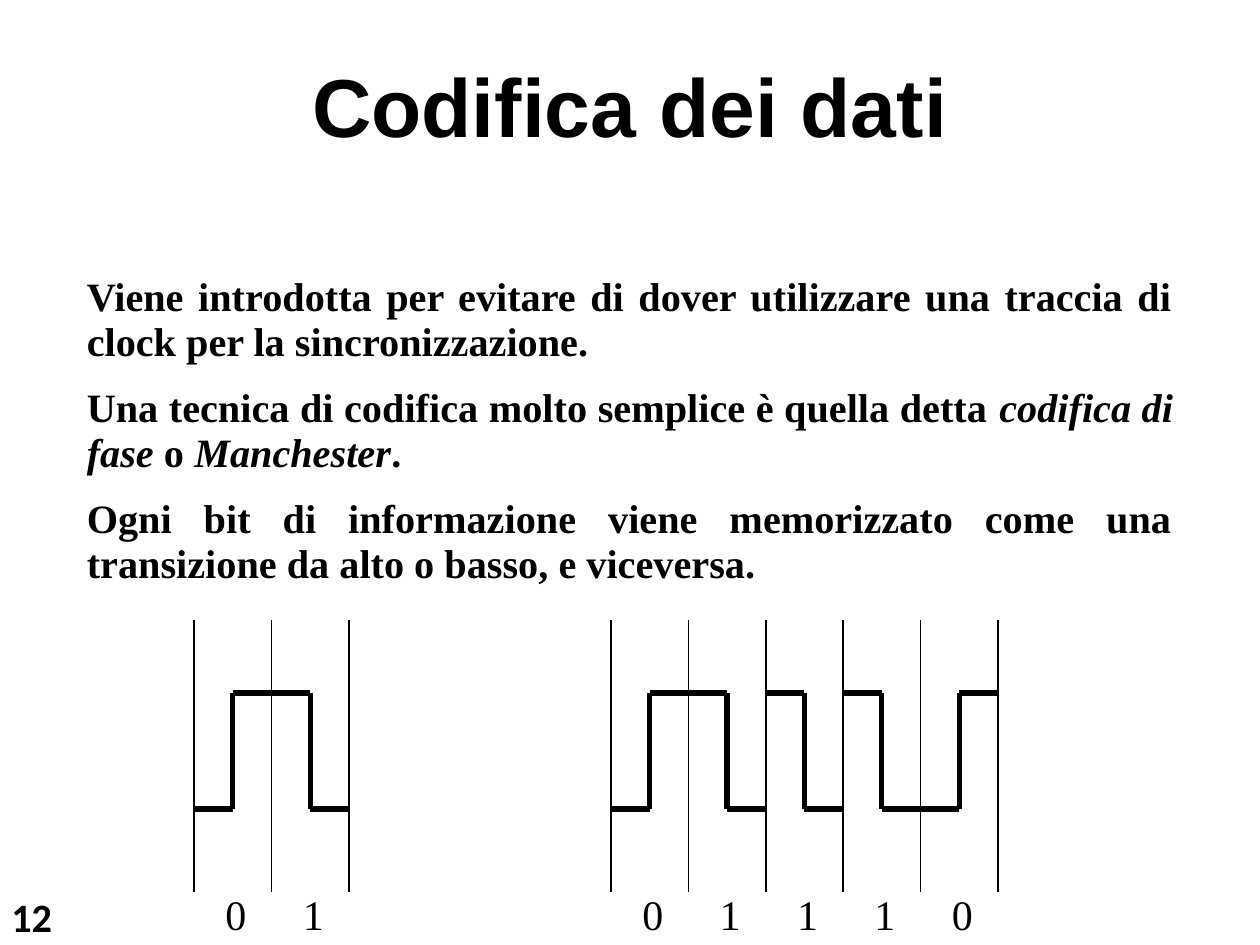
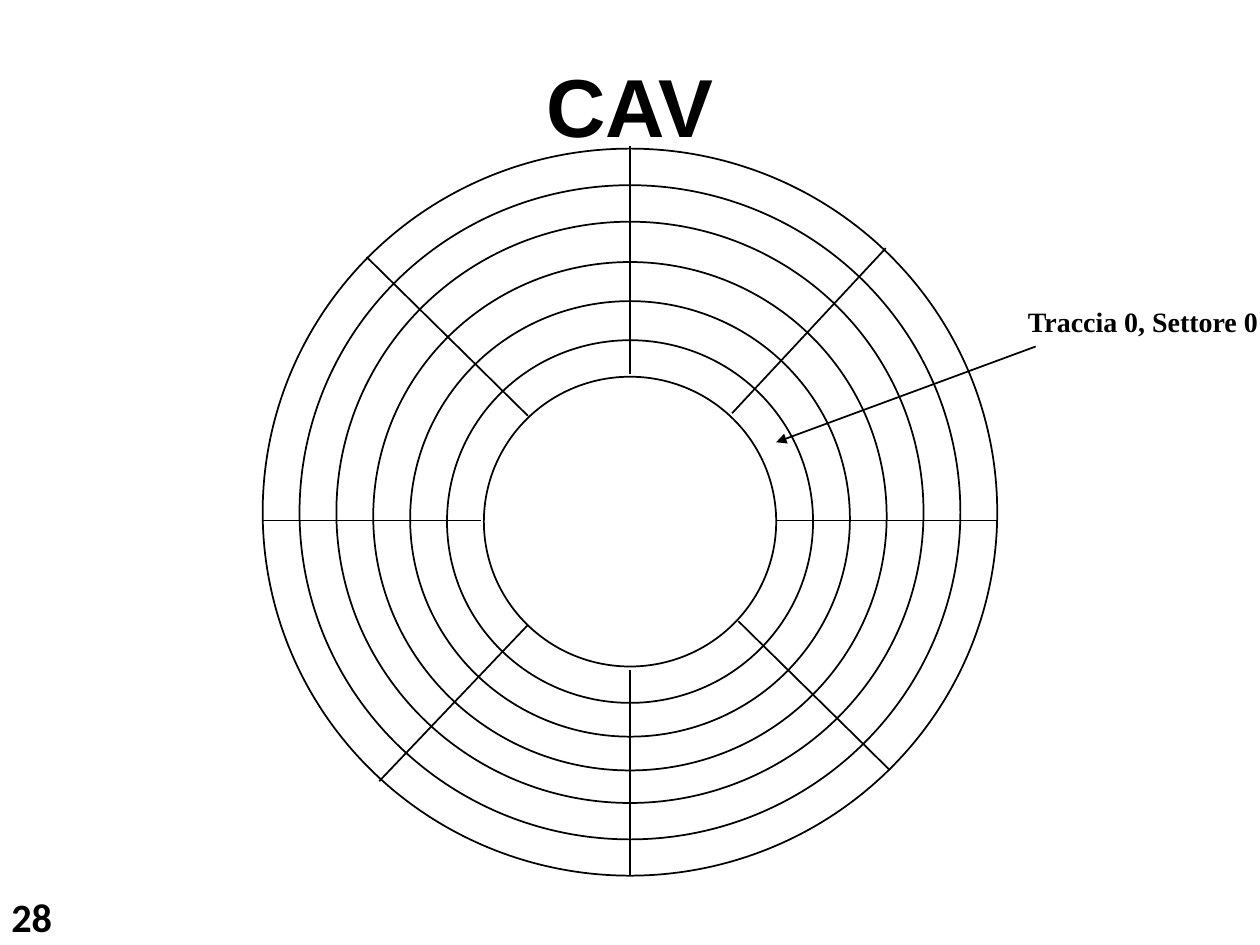
"""Builds two slides on magnetic disks: Manchester coding and CAV sectors."""
from dataclasses import dataclass

from lxml.etree import SubElement
from pptx import Presentation
from pptx.dml.color import RGBColor
from pptx.enum.shapes import MSO_CONNECTOR, MSO_SHAPE
from pptx.enum.text import MSO_ANCHOR, PP_ALIGN
from pptx.oxml.ns import qn
from pptx.util import Inches, Pt


@dataclass(frozen=True)
class Theme:
    ink: RGBColor = RGBColor(0, 0, 0)
    paper: RGBColor = RGBColor(255, 255, 255)
    title_font: str = "Arial"
    body_font: str = "Times New Roman"
    number_font: str = "Calibri"
    title_size: int = 47
    body_size: int = 23
    number_size: int = 23
    bit_size: int = 24
    label_size: int = 16
    thin: int = 1
    thick: int = 3
    body_leading: float = 0.93


class DeckBuilder:
    def __init__(self, theme):
        self.theme = theme
        self.deck = Presentation()
        self.deck.slide_width = Inches(10)
        self.deck.slide_height = Inches(7.5)
        self.page = None
        self.canvas = None

    def new_page(self, title, number):
        theme = self.theme
        self.page = self.deck.slides.add_slide(self.deck.slide_layouts[6])
        self.page.background.fill.solid()
        self.page.background.fill.fore_color.rgb = theme.paper
        self.end_group()
        self.text(0.04, 7.06, 0.49, 0.43, [[(number, False)]], theme.number_font,
                  theme.number_size, bold=True, insets=(0.05, 0.02))
        self.text(0.59, 0.36, 8.82, 1.74, [[(title, False)]], theme.title_font,
                  theme.title_size, bold=True, align=PP_ALIGN.CENTER, insets=(0.05, 0.08))

    def begin_group(self):
        self.canvas = self.page.shapes.add_group_shape().shapes

    def end_group(self):
        self.canvas = self.page.shapes

    def text(self, left, top, width, height, paragraphs, font, size, bold=False,
             align=PP_ALIGN.LEFT, insets=(0.1, 0.05), leading=None, gap=0, wrap=True):
        box = self.canvas.add_textbox(Inches(left), Inches(top), Inches(width), Inches(height))
        frame = box.text_frame
        frame.word_wrap = wrap
        frame.vertical_anchor = MSO_ANCHOR.TOP
        frame.margin_left = frame.margin_right = Inches(insets[0])
        frame.margin_top = frame.margin_bottom = Inches(insets[1])
        for index, spans in enumerate(paragraphs):
            para = frame.add_paragraph() if index else frame.paragraphs[0]
            para.alignment = align
            para.line_spacing = leading
            para.space_before = Pt(gap if index else 0)
            for words, italic in spans:
                span = para.add_run()
                span.text = words
                span.font.name = font
                span.font.size = Pt(size)
                span.font.bold = bold
                span.font.italic = italic
                span.font.color.rgb = self.theme.ink

    def line(self, start, end, weight, arrow=False):
        connector = self.canvas.add_connector(
            MSO_CONNECTOR.STRAIGHT, *(Inches(value) for value in (*start, *end)))
        connector.line.color.rgb = self.theme.ink
        connector.line.width = Pt(weight)
        properties = connector._element.spPr
        if arrow:
            SubElement(properties.find(qn("a:ln")), qn("a:tailEnd"), type="triangle")
        SubElement(properties, qn("a:effectLst"))

    def ring(self, left, top, width, height):
        circle = self.canvas.add_shape(
            MSO_SHAPE.OVAL, Inches(left), Inches(top), Inches(width), Inches(height))
        circle.shadow.inherit = False
        circle.fill.solid()
        circle.fill.fore_color.rgb = self.theme.paper
        circle.line.color.rgb = self.theme.ink
        circle.line.width = Pt(self.theme.thin)

    def waveform(self, bits, left, right):
        theme = self.theme
        high, low = 5.5, 6.42
        cell = (right - left) / len(bits)
        for index in range(len(bits) + 1):
            edge = left + index * cell
            self.line((edge, 4.92), (edge, 7.08), theme.thin)
        for index, bit in enumerate(bits):
            start = left + index * cell
            middle, end = start + cell / 2, start + cell
            before, after = (low, high) if bit == "0" else (high, low)
            self.begin_group()
            self.line((start, before), (middle, before), theme.thick)
            self.line((middle, after), (end, after), theme.thick)
            self.line((middle, high), (middle, low), theme.thick)
            self.end_group()
            self.text(start + 0.15, 7, 0.37, 0.51, [[(bit, False)]],
                      theme.body_font, theme.bit_size)


def build_coding_page(builder):
    theme = builder.theme
    builder.new_page("Codifica dei dati", "12")
    paragraphs = [
        [("Viene introdotta per evitare di dover utilizzare una traccia di clock "
          "per la sincronizzazione.", False)],
        [("Una tecnica di codifica molto semplice è quella detta ", False),
         ("codifica di fase", True), (" o ", False), ("Manchester", True), (".", False)],
        [("Ogni bit di informazione viene memorizzato come una transizione da alto "
          "o basso, e viceversa.", False)],
    ]
    builder.text(0.59, 2.14, 8.82, 2.6, paragraphs, theme.body_font, theme.body_size,
                 bold=True, align=PP_ALIGN.JUSTIFY, leading=theme.body_leading, gap=12)
    builder.waveform("01", 1.54, 2.77)
    builder.waveform("01110", 4.85, 7.92)


def build_cav_page(builder):
    theme = builder.theme
    builder.new_page("CAV", "28")
    builder.begin_group()
    center = 5
    ring_tops = [1.18, 1.47, 1.76, 2.08, 2.39, 2.7, 2.99]
    width_step = (5.83 - 2.32) / (len(ring_tops) - 1)
    height_step = (5.77 - 2.3) / (len(ring_tops) - 1)
    for index, top in enumerate(ring_tops):
        width = 5.83 - index * width_step
        builder.ring(center - width / 2, top, width, 5.77 - index * height_step)
    sector_edges = [
        ((5, 2.97), (5, 1.16)), ((5, 5.32), (5, 6.95)),
        ((2.08, 4.13), (3.82, 4.13)), ((6.16, 4.13), (7.92, 4.13)),
        ((4.19, 3.3), (2.91, 2.04)), ((5.86, 4.93), (7.06, 6.11)),
        ((3.01, 6.2), (4.19, 4.96)), ((5.81, 3.28), (7.03, 1.97)),
    ]
    for start, end in sector_edges:
        builder.line(start, end, theme.thin)
    builder.line((8.22, 2.75), (6.16, 3.51), theme.thin, arrow=True)
    builder.text(8.06, 2.4, 2.05, 0.32, [[("Traccia 0, Settore 0", False)]],
                 theme.body_font, theme.label_size, bold=True,
                 align=PP_ALIGN.JUSTIFY, leading=0.9, wrap=False)
    builder.end_group()


def main():
    builder = DeckBuilder(Theme())
    build_coding_page(builder)
    build_cav_page(builder)
    builder.deck.save("out.pptx")


if __name__ == "__main__":
    main()
